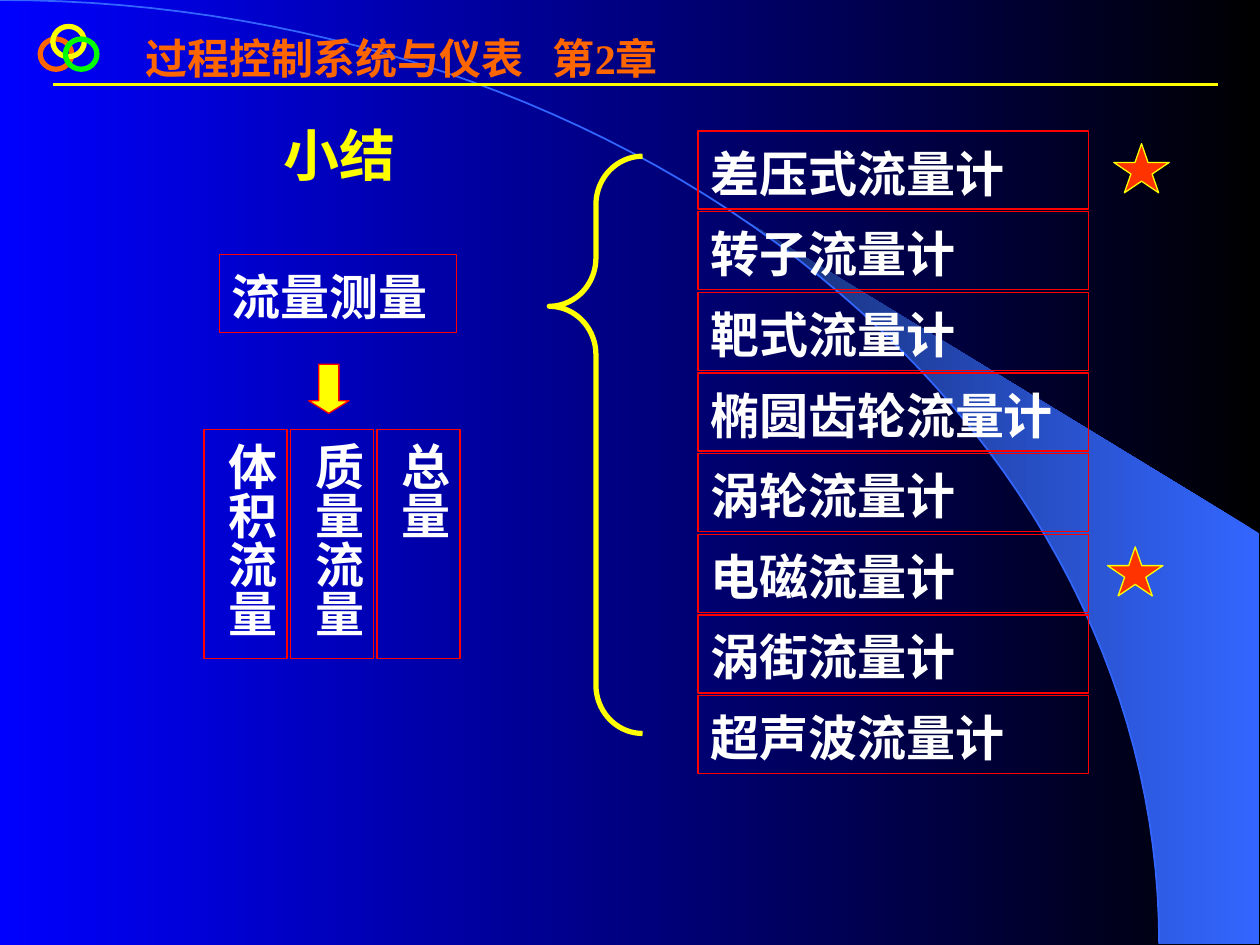
"""Build the summary slide on flow measurement."""
import math
from pptx import Presentation
from pptx import util as u
from pptx.dml.color import RGBColor
from pptx.enum import shapes, text
from pptx.oxml.ns import qn
from lxml import etree

Pt = u.Pt
KIND = shapes.MSO_SHAPE
ALIGN = text.PP_ALIGN
BLACK = RGBColor(0x00, 0x00, 0x00)
BLUE = RGBColor(0x00, 0x00, 0xFF)
SKY = RGBColor(0x33, 0x66, 0xFF)
NAVY = RGBColor(0x17, 0x2F, 0x75)
WHITE = RGBColor(0xFF, 0xFF, 0xFF)
YELLOW = RGBColor(0xFF, 0xFF, 0x00)
RED = RGBColor(0xFF, 0x00, 0x00)
SCARLET = RGBColor(0xFF, 0x33, 0x00)
ORANGE = RGBColor(0xFF, 0x66, 0x00)
GREEN = RGBColor(0x00, 0xFF, 0x00)

COURSE = "过程控制系统与仪表\t第2章"
HEADING = "小结"
TOPIC = "流量测量"
QUANTITIES = [("体积流量", ALIGN.JUSTIFY), ("质量流量", ALIGN.JUSTIFY), ("总量", ALIGN.CENTER)]
METERS = ["差压式流量计", "转子流量计", "靶式流量计", "椭圆齿轮流量计",
          "涡轮流量计", "电磁流量计", "涡街流量计", "超声波流量计"]
RINGS = [(23, 22.3, ORANGE), (30.2, 15.1, YELLOW), (37.4, 22.3, GREEN)]
STARS = [(636.5, 82.1), (632.9, 312.5)]

WIDTH, HEIGHT = 720, 540
ARC_WIDTH, ARC_HEIGHT = 662.4, 539.3
BAND_START = 39.8
METER_TOP, METER_STEP = 74.9, 46.08
COLUMN_LEFT, COLUMN_STEP = 116.6, 49.4


def arc_points(start, steps=60):
    """Return points on the quarter ellipse from a start angle to its foot."""
    angles = [math.radians(start + (90 - start) * i / steps) for i in range(steps + 1)]
    return [(ARC_WIDTH * math.sin(a), ARC_HEIGHT * (1 - math.cos(a))) for a in angles]


def set_gradient(fill, colors):
    """Give a fill a horizontal two-colour gradient."""
    fill.gradient()
    fill.gradient_angle = 180
    for stop, color in zip(fill.gradient_stops, colors):
        stop.color.rgb = color


def style(shape, line=None, weight=0.75, fill=None):
    """Set the outline and fill of a shape."""
    shape.shadow.inherit = False
    if fill is None:
        shape.fill.background()
    else:
        shape.fill.solid()
        shape.fill.fore_color.rgb = fill
    if line is None:
        shape.line.fill.background()
    else:
        shape.line.color.rgb = line
        shape.line.width = Pt(weight)


def add_preset(page, kind, place, **look):
    """Add a styled preset shape at a place in points."""
    shape = page.shapes.add_shape(kind, *map(Pt, place))
    style(shape, **look)
    return shape


def add_curve(page, points, close=False):
    """Add a freeform through points."""
    corners = [(Pt(x), Pt(y)) for x, y in points]
    builder = page.shapes.build_freeform(*corners[0], scale=1.0)
    builder.add_line_segments(corners[1:], close=close)
    return builder.convert_to_shape()


def write(box, words, size=28, color=WHITE, align=ALIGN.JUSTIFY, spacing=1.1,
          vertical=False, tab=None):
    """Write one bold paragraph into a box."""
    frame = box.text_frame
    side, edge = (3.6, 7.2) if vertical else (7.2, 3.6)
    layout = {"margin_left": Pt(side), "margin_right": Pt(side),
              "margin_top": Pt(edge), "margin_bottom": Pt(edge),
              "word_wrap": True, "vertical_anchor": text.MSO_ANCHOR.TOP}
    for name, value in layout.items():
        setattr(frame, name, value)
    if vertical:
        frame._txBody.find(qn("a:bodyPr")).set("vert", "eaVert")
    para = frame.paragraphs[0]
    if tab:
        stops = etree.SubElement(para._p.get_or_add_pPr(), qn("a:tabLst"))
        etree.SubElement(stops, qn("a:tab"), pos=str(Pt(tab)), algn="l")
    para.alignment = align
    para.line_spacing = spacing
    span = para.add_run()
    span.text = words
    for name, value in {"name": "Times New Roman", "size": Pt(size), "bold": True}.items():
        setattr(span.font, name, value)
    span.font.color.rgb = color


def add_backdrop(page):
    """Draw the background, arc, band, rings and rule."""
    set_gradient(page.background.fill, (BLACK, BLUE))
    band = add_curve(page, arc_points(BAND_START) + [(719.3, ARC_HEIGHT), (719.3, 304.6)], True)
    style(band)
    set_gradient(band.fill, (SKY, NAVY))
    style(add_curve(page, arc_points(0)), line=SKY, weight=1)
    rule = page.shapes.add_connector(shapes.MSO_CONNECTOR.STRAIGHT,
                                     Pt(30.2), Pt(48.2), Pt(696.2), Pt(48.2))
    rule.line.color.rgb = YELLOW
    rule.line.width = Pt(1.5)
    etree.SubElement(rule._element.spPr, qn("a:effectLst"))
    for left, top, color in RINGS:
        add_preset(page, KIND.OVAL, (left, top, 18, 17.3), line=color, weight=3)


def main():
    """Build and save the deck."""
    deck = Presentation()
    deck.slide_width, deck.slide_height = Pt(WIDTH), Pt(HEIGHT)
    page = deck.slides.add_slide(deck.slide_layouts[6])
    add_backdrop(page)

    course = page.shapes.add_textbox(*map(Pt, (76.3, 15.1, 323.3, 64.8)))
    write(course, COURSE, 24, ORANGE, ALIGN.LEFT, 1.0, tab=232.5)
    heading = page.shapes.add_textbox(*map(Pt, (154.8, 57.6, 96.5, 53.3)))
    write(heading, HEADING, 32, YELLOW, spacing=1.2)

    write(add_preset(page, KIND.RECTANGLE, (125.3, 145.4, 135.4, 44.6), line=RED), TOPIC)
    for i, (words, align) in enumerate(QUANTITIES):
        place = (COLUMN_LEFT + i * COLUMN_STEP, 245.5, 47.5, 131)
        box = add_preset(page, KIND.RECTANGLE, place, line=RED)
        write(box, words, align=align, spacing=1.0, vertical=True)
    arrow = add_preset(page, KIND.DOWN_ARROW, (176.4, 208.1, 23, 28.1), line=RED, fill=YELLOW)
    arrow.adjustments[1] = 0.31

    for i, words in enumerate(METERS):
        place = (398.9, METER_TOP + i * METER_STEP, 223.2, 44.6)
        write(add_preset(page, KIND.RECTANGLE, place, line=RED), words)
    brace = add_preset(page, KIND.LEFT_BRACE, (313.9, 89.3, 53.3, 329.8), line=YELLOW, weight=3)
    brace.adjustments[0], brace.adjustments[1] = 0.52, 0.26
    for left, top in STARS:
        add_preset(page, KIND.STAR_5_POINT, (left, top, 31.7, 28.1), line=YELLOW, fill=SCARLET)

    deck.save("out.pptx")


if __name__ == "__main__":
    main()
